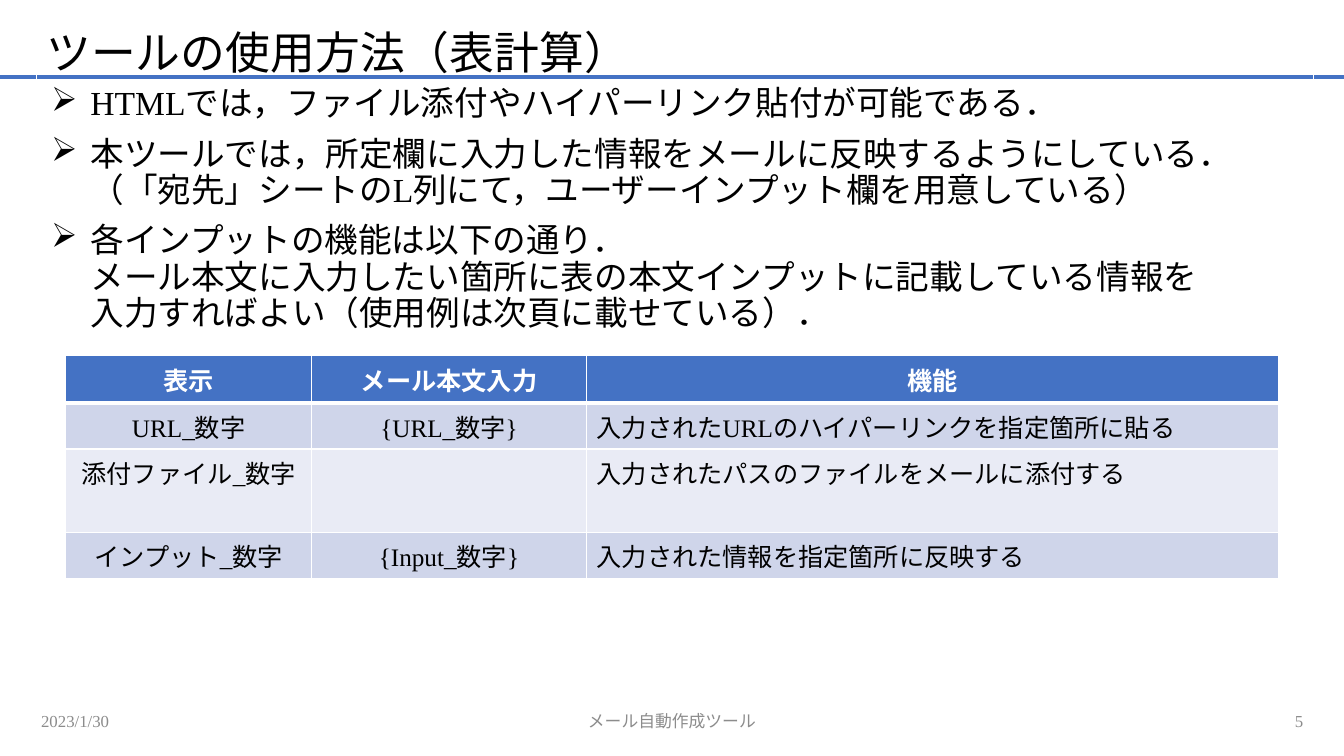
"""Build the slide explaining how to use the spreadsheet mail tool."""
import pptx
import pptx.dml.color
import pptx.enum.lang
import pptx.enum.shapes
import pptx.enum.text
import pptx.oxml
import pptx.oxml.ns
import pptx.util

Pt = pptx.util.Pt
RGBColor = pptx.dml.color.RGBColor
ALIGN = pptx.enum.text.PP_ALIGN
ANCHOR = pptx.enum.text.MSO_ANCHOR

BLUE = RGBColor(0x44, 0x72, 0xC4)
BAND_DARK = RGBColor(0xCF, 0xD5, 0xEA)
BAND_LIGHT = RGBColor(0xE9, 0xEB, 0xF5)
BLACK = RGBColor(0, 0, 0)
GREY = RGBColor(0x8C, 0x8C, 0x8C)
WHITE = RGBColor(0xFF, 0xFF, 0xFF)
FONT = "Times New Roman"
NS = pptx.oxml.ns.nsdecls("a")


def write(paragraph, text, size, color, align=ALIGN.LEFT, bold=False):
    paragraph.alignment = align
    for number, line in enumerate(text.split("\n")):
        if number:
            paragraph.add_line_break()
        run = paragraph.add_run()
        run.text = line
        run.font.name = FONT
        run.font.size = Pt(size)
        run.font.bold = bold
        run.font.color.rgb = color
        run.font.language_id = pptx.enum.lang.MSO_LANGUAGE_ID.JAPANESE


def add_box(left, top, width, height, anchor, outlined=False):
    box = slide.shapes.add_textbox(Pt(left), Pt(top), Pt(width), Pt(height))
    box.text_frame.word_wrap = True
    box.text_frame.vertical_anchor = anchor
    if outlined:
        box.line.color.rgb = WHITE
        box.line.width = Pt(0.75)
    return box.text_frame


presentation = pptx.Presentation()
presentation.slide_width = Pt(960)
presentation.slide_height = Pt(540)
slide = presentation.slides.add_slide(presentation.slide_layouts[6])

title_rule = slide.shapes.add_connector(
    pptx.enum.shapes.MSO_CONNECTOR.STRAIGHT, Pt(960), Pt(55), Pt(0), Pt(55))
title_rule.line.color.rgb = BLUE
title_rule.line.width = Pt(2.25)
title_rule._element.spPr.append(pptx.oxml.parse_xml(f"<a:effectLst {NS}/>"))

title = add_box(26, 17.3, 912, 44, ANCHOR.MIDDLE, outlined=True).paragraphs[0]
title.line_spacing = 0.9
write(title, "ツールの使用方法（表計算）", 32, BLACK)

explanations = [
    "HTMLでは，ファイル添付やハイパーリンク貼付が可能である．",
    "本ツールでは，所定欄に入力した情報をメールに反映するようにしている．\n"
    "（「宛先」シートのL列にて，ユーザーインプット欄を用意している）",
    "各インプットの機能は以下の通り．\n"
    "メール本文に入力したい箇所に表の本文インプットに記載している情報を\n"
    "入力すればよい（使用例は次頁に載せている）．",
]
body = add_box(29.5, 58.6, 912, 426, ANCHOR.TOP, outlined=True)
for number, explanation in enumerate(explanations):
    paragraph = body.add_paragraph() if number else body.paragraphs[0]
    paragraph.line_spacing = 0.9
    paragraph.space_before = Pt(10)
    write(paragraph, explanation, 24, BLACK)
    properties = paragraph._p.get_or_add_pPr()
    properties.set("marL", str(Pt(28)))
    properties.set("indent", str(Pt(-28)))
    properties.append(pptx.oxml.parse_xml(f'<a:buChar {NS} char="➢"/>'))

footers = [
    (22.3, 216, "2023/1/30", ALIGN.LEFT),
    (318, 324, "メール自動作成ツール", ALIGN.CENTER),
    (722, 216, "5", ALIGN.RIGHT),
]
for left, width, text, align in footers:
    write(add_box(left, 500.5, width, 28.8, ANCHOR.MIDDLE).paragraphs[0], text, 12, GREY, align)

functions = [
    (33.5, "表示", "メール本文入力", "機能"),
    (33, "URL_数字", "{URL_数字}", "入力されたURLのハイパーリンクを指定箇所に貼る"),
    (59.5, "添付ファイル_数字", "", "入力されたパスのファイルをメールに添付する"),
    (33, "インプット_数字", "{Input_数字}", "入力された情報を指定箇所に反映する"),
]
function_table = slide.shapes.add_table(
    len(functions), 3, Pt(47), Pt(254.2), Pt(866), Pt(159)).table
for column, width in zip(function_table.columns, (175.5, 196.5, 494)):
    column.width = Pt(width)
for row, (height, *texts) in enumerate(functions):
    function_table.rows[row].height = Pt(height)
    header = row == 0
    for column, text in enumerate(texts):
        cell = function_table.cell(row, column)
        cell_properties = cell._tc.get_or_add_tcPr()
        for side in "LRTB":
            thick = (header and side == "B") or (row == 1 and side == "T")
            cell_properties.append(pptx.oxml.parse_xml(
                f'<a:ln{side} {NS} w="{Pt(3 if thick else 1)}"><a:solidFill>'
                f'<a:srgbClr val="{WHITE}"/></a:solidFill></a:ln{side}>'))
        cell.fill.solid()
        cell.fill.fore_color.rgb = BLUE if header else BAND_DARK if row % 2 else BAND_LIGHT
        align = ALIGN.CENTER if header or column < 2 else ALIGN.LEFT
        if text:
            write(cell.text_frame.paragraphs[0], text, 18, WHITE if header else BLACK, align, header)

presentation.save("out.pptx")
